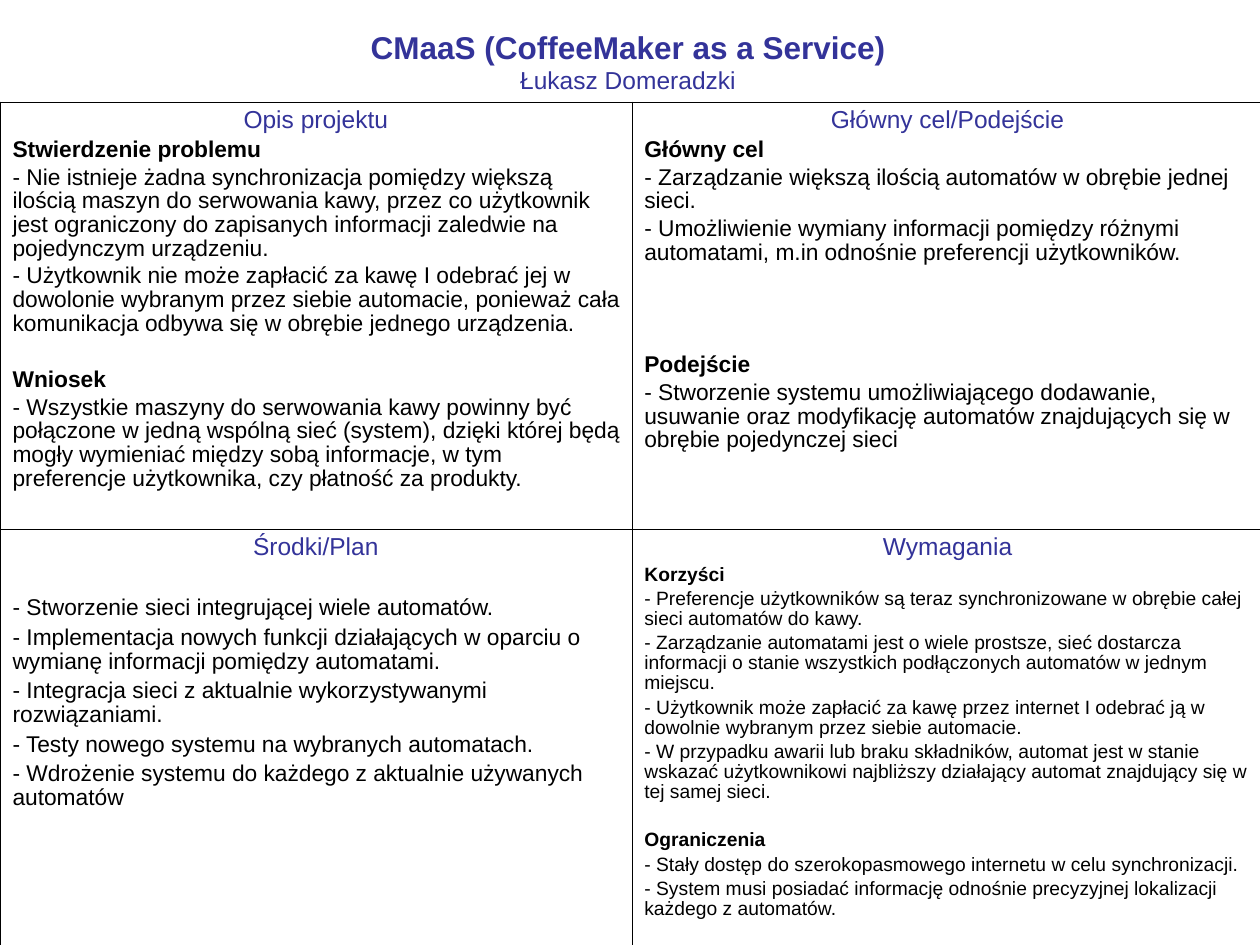
"""Build the four-quadrant project summary slide for CMaaS."""
from lxml.etree import SubElement
from pptx import Presentation
from pptx.dml.color import RGBColor
from pptx.enum.text import MSO_AUTO_SIZE, PP_ALIGN
from pptx.oxml.ns import qn
from pptx.util import Inches, Pt

THEME = {
    "font": "Arial",
    "accent": "333399",
    "ink": "000000",
    "title": 18,
    "heading": 14,
    "body": 13,
    "small": 11,
    "outer": 0.5,
    "inner": 0.23,
}
LINE = 0.93
LINE_HEIGHT = 1.04

QUADRANTS = [
    [
        {"heading": "Opis projektu", "size": "body", "before": 2.5, "sections": [
            ("Stwierdzenie problemu", 0, [
                "- Nie istnieje żadna synchronizacja pomiędzy większą ilością maszyn do serwowania kawy, przez co użytkownik jest ograniczony do zapisanych informacji zaledwie na pojedynczym urządzeniu.",
                "- Użytkownik nie może zapłacić za kawę I odebrać jej w dowolonie wybranym przez siebie automacie, ponieważ cała komunikacja odbywa się w obrębie jednego urządzenia.",
            ]),
            ("Wniosek", 1, [
                "- Wszystkie maszyny do serwowania kawy powinny być połączone w jedną wspólną sieć (system), dzięki której będą mogły wymieniać między sobą informacje, w tym preferencje użytkownika, czy płatność za produkty.",
            ]),
        ]},
        {"heading": "Główny cel/Podejście", "size": "body", "before": 2.5, "sections": [
            ("Główny cel", 0, [
                "- Zarządzanie większą ilością automatów w obrębie jednej sieci.",
                "- Umożliwienie wymiany informacji pomiędzy różnymi automatami, m.in odnośnie preferencji użytkowników.",
            ]),
            ("Podejście", 3, [
                "- Stworzenie systemu umożliwiającego dodawanie, usuwanie oraz modyfikację automatów znajdujących się w obrębie pojedynczej sieci",
            ]),
        ]},
    ],
    [
        {"heading": "Środki/Plan", "size": "body", "before": 3.5, "sections": [
            (None, 1, [
                "- Stworzenie sieci integrującej wiele automatów.",
                "- Implementacja nowych funkcji działających w oparciu o wymianę informacji pomiędzy automatami.",
                "- Integracja sieci z aktualnie wykorzystywanymi rozwiązaniami.",
                "- Testy nowego systemu na wybranych automatach.",
                "- Wdrożenie systemu do każdego z aktualnie używanych automatów",
            ]),
        ]},
        {"heading": "Wymagania", "size": "small", "before": 2.5, "sections": [
            ("Korzyści", 0, [
                "- Preferencje użytkowników są teraz synchronizowane w obrębie całej sieci automatów do kawy.",
                "- Zarządzanie automatami jest o wiele prostsze, sieć dostarcza informacji o stanie wszystkich podłączonych automatów w jednym miejscu.",
                "- Użytkownik może zapłacić za kawę przez internet I odebrać ją w dowolnie wybranym przez siebie automacie.",
                "- W przypadku awarii lub braku składników, automat jest w stanie wskazać użytkownikowi najbliższy działający automat znajdujący się w tej samej sieci.",
            ]),
            ("Ograniczenia", 1, [
                "- Stały dostęp do szerokopasmowego internetu w celu synchronizacji.",
                "- System musi posiadać informację odnośnie precyzyjnej lokalizacji każdego z automatów.",
            ]),
        ]},
    ],
]


def write(frame, text, size, color="ink", bold=False, **layout):
    para = frame.paragraphs[0]
    if para.runs:
        para = frame.add_paragraph()
    for name, value in layout.items():
        setattr(para, name, value)
    span = para.add_run()
    span.text = text
    style = {"name": THEME["font"], "size": Pt(THEME[size]), "bold": bold}
    for name, value in style.items():
        setattr(span.font, name, value)
    span.font.color.rgb = RGBColor.from_string(THEME[color])


def draw_borders(cell, widths):
    properties = cell._tc.get_or_add_tcPr()
    for side, width in widths.items():
        line = SubElement(properties, qn(f"a:ln{side}"), w=str(Pt(width)))
        fill = SubElement(line, qn("a:solidFill"))
        SubElement(fill, qn("a:srgbClr"), val=THEME["ink"])


deck = Presentation()
deck.slide_width, deck.slide_height = Inches(10), Inches(7.5)
width, height = deck.slide_width, deck.slide_height
page = deck.slides.add_slide(deck.slide_layouts[6])

box = page.shapes.add_textbox(
    int(width * 0.08), int(height * 0.02), int(width * 0.84), int(height * 0.09))
box.left, box.top, box.width, box.height = Inches(0.82), Inches(0.17), Inches(8.33), Inches(0.64)
box.text_frame.word_wrap = True
box.text_frame.auto_size = MSO_AUTO_SIZE.SHAPE_TO_FIT_TEXT
write(box.text_frame, "CMaaS (CoffeeMaker as a Service)", "title", "accent", True,
      alignment=PP_ALIGN.CENTER)
write(box.text_frame, "Łukasz Domeradzki", "heading", "accent", alignment=PP_ALIGN.CENTER)

table_top = Inches(0.81)
column_width = int(width * 0.5014)
row_heights = [Inches(3.39), Inches(3.37)]
table = page.shapes.add_table(
    2, 2, 0, table_top, column_width * 2, sum(row_heights)).table
for flag in ("first_row", "horz_banding"):
    setattr(table, flag, False)
for column in table.columns:
    column.width = column_width

outer, inner = THEME["outer"], THEME["inner"]
for row, quadrants in enumerate(QUADRANTS):
    table.rows[row].height = row_heights[row]
    for column, quadrant in enumerate(quadrants):
        cell = table.cell(row, column)
        draw_borders(cell, {
            "L": inner if column else outer,
            "R": outer if column else inner,
            "T": inner if row else outer,
            "B": outer if row else inner,
        })
        cell.fill.background()
        frame, size, before = cell.text_frame, quadrant["size"], quadrant["before"]
        write(frame, quadrant["heading"], "heading", "accent", alignment=PP_ALIGN.CENTER,
              line_spacing=LINE, space_before=Pt(3.5))
        for title, gap_lines, points in quadrant["sections"]:
            gap = gap_lines * (THEME[size] * LINE_HEIGHT + before)
            entries = ([title] if title else []) + points
            for order, text in enumerate(entries):
                space = before if order else before + gap
                write(frame, text, size, bold=text == title,
                      line_spacing=LINE, space_before=Pt(space))

deck.save("out.pptx")
